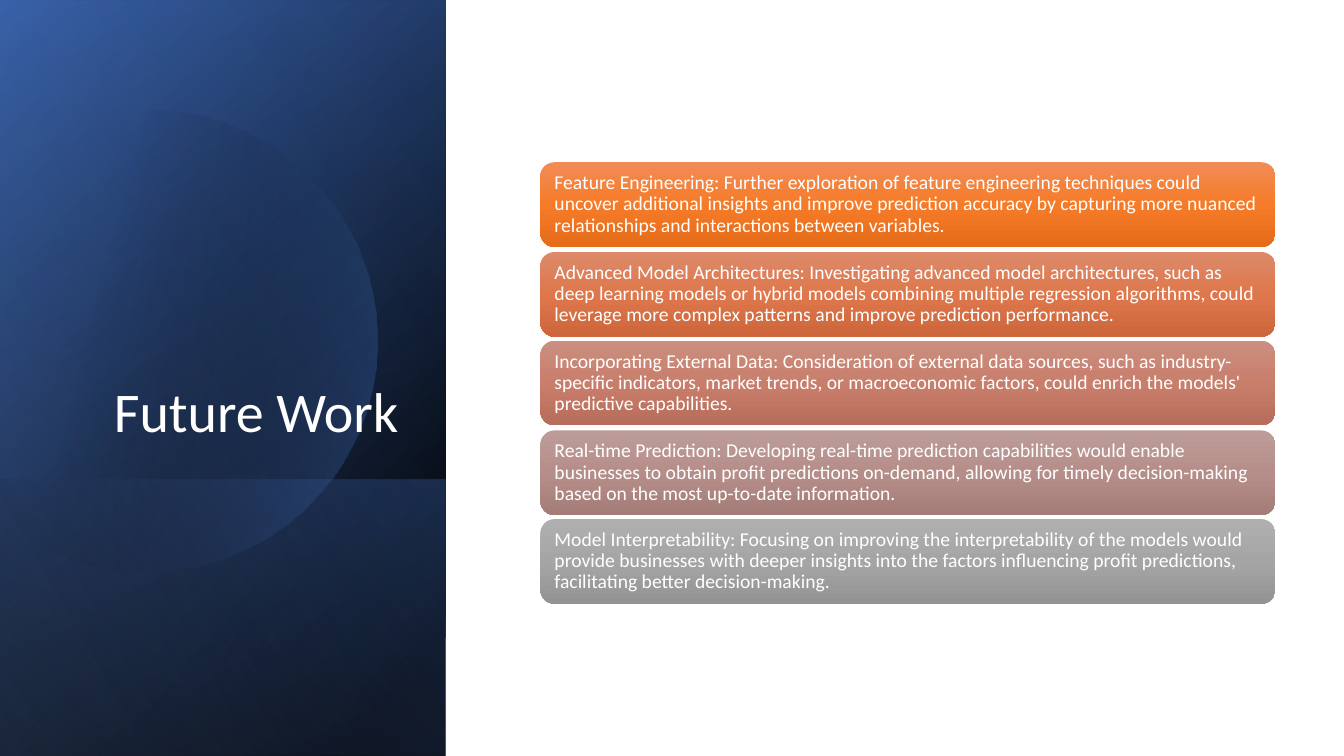
from dataclasses import dataclass
from math import acos, cos, sin

from lxml.etree import SubElement
from pptx import Presentation
from pptx.dml.color import RGBColor
from pptx.enum.shapes import MSO_SHAPE
from pptx.enum.text import MSO_ANCHOR, MSO_AUTO_SIZE, PP_ALIGN
from pptx.oxml.ns import qn
from pptx.util import Emu, Pt

EMU_PER_PX = 9144


@dataclass(frozen=True)
class Theme:
    """Colours, font and type sizes of the deck."""
    font: str = "Calibri"
    text: str = "FFFFFF"
    dark: str = "000000"
    blue: str = "4472C4"
    deep_blue: str = "2F5597"
    pale_blue: str = "8FAADC"
    title_size: int = 40
    card_size: int = 14
    cards: tuple = (
        ("F18C57", "F67B28", "E56C19"),
        ("DD8A6A", "DE774B", "CD673B"),
        ("CB8F81", "C97E6B", "B76D5B"),
        ("BC9C99", "B68E89", "A47C78"),
        ("AFAFAF", "A5A5A5", "939393"),
    )


THEME = Theme()

PANELS = (
    ((-154, 154, 750, 442), 50, ((8, THEME.dark, 100), (100, THEME.deep_blue, 100))),
    ((-154, 155, 750, 442), 30, ((0, THEME.dark, 0), (99, THEME.blue, 46))),
    ((84, 392, 274, 442), 130, ((2, THEME.blue, 29), (100, THEME.dark, 30))),
)
GLOW = ((-154, 154, 750, 442), 120, ((0, THEME.dark, 0), (99, THEME.pale_blue, 11)))

IDEAS = (
    "Feature Engineering: Further exploration of feature engineering techniques could "
    "uncover additional insights and improve prediction accuracy by capturing more "
    "nuanced relationships and interactions between variables.",
    "Advanced Model Architectures: Investigating advanced model architectures, such as "
    "deep learning models or hybrid models combining multiple regression algorithms, "
    "could leverage more complex patterns and improve prediction performance.",
    "Incorporating External Data: Consideration of external data sources, such as "
    "industry-specific indicators, market trends, or macroeconomic factors, could "
    "enrich the models' predictive capabilities.",
    "Real-time Prediction: Developing real-time prediction capabilities would enable "
    "businesses to obtain profit predictions on-demand, allowing for timely "
    "decision-making based on the most up-to-date information.",
    "Model Interpretability: Focusing on improving the interpretability of the models "
    "would provide businesses with deeper insights into the factors influencing profit "
    "predictions, facilitating better decision-making.",
)


def px(length):
    """Turn pixels into EMU."""
    return Emu(length * EMU_PER_PX)


def paint_gradient(shape, angle, stops):
    """Fill a shape with (position, colour, opacity) stops, without line or shadow."""
    shape.shadow.inherit = False
    shape.line.fill.background()
    shape.fill.background()
    properties = shape.element.spPr
    blank = properties.find(qn("a:noFill"))
    gradient = SubElement(properties, qn("a:gradFill"), rotWithShape="1")
    properties.replace(blank, gradient)
    stop_list = SubElement(gradient, qn("a:gsLst"))
    for position, colour, opacity in stops:
        stop = SubElement(stop_list, qn("a:gs"), pos=str(position * 1000))
        shade = SubElement(stop, qn("a:srgbClr"), val=colour)
        if opacity < 100:
            SubElement(shade, qn("a:alpha"), val=str(opacity * 1000))
    SubElement(gradient, qn("a:lin"), ang=str(angle * 60000), scaled="0")


def write_text(shape, text, size, align, anchor):
    """Put one formatted paragraph into a shape."""
    frame = shape.text_frame
    frame.text = text
    frame.word_wrap = True
    frame.auto_size = MSO_AUTO_SIZE.NONE
    frame.vertical_anchor = anchor
    para = frame.paragraphs[0]
    para.alignment = align
    para.line_spacing = 0.9
    para.font.name = THEME.font
    para.font.size = Pt(size)
    para.font.color.rgb = RGBColor.from_string(THEME.text)


def add_panel(page, frame, angle, stops):
    """Add a mirrored gradient rectangle turned by a quarter."""
    panel = page.shapes.add_shape(MSO_SHAPE.RECTANGLE, *map(px, frame))
    panel.rotation = 90
    panel.element.spPr.xfrm.set("flipH", "1")
    paint_gradient(panel, angle, stops)


def add_disc(page, centre_x, centre_y, radius, steps=120):
    """Add a disc cut off at the left edge of the page."""
    limit = acos(-centre_x / radius)
    angles = [limit * (2 * step / steps - 1) for step in range(steps + 1)]
    points = [(centre_x + radius * cos(a), centre_y + radius * sin(a)) for a in angles]
    builder = page.shapes.build_freeform(*points[0], scale=EMU_PER_PX)
    builder.add_line_segments(points[1:], close=True)
    disc = builder.convert_to_shape()
    paint_gradient(disc, 14, ((29, THEME.dark, 0), (100, THEME.blue, 43)))


def place_title(page, text):
    """Move the title placeholder in front of the panels and fill it."""
    title = page.shapes.title
    page.shapes.element.append(title.element)
    title.left, title.top, title.width, title.height = map(px, (64, 184, 341, 262))
    write_text(title, text, THEME.title_size, PP_ALIGN.RIGHT, MSO_ANCHOR.BOTTOM)


def add_card(page, index, text, colours):
    """Add one rounded card of the stack."""
    top = 161 + (177 * index + 1) // 2
    card = page.shapes.add_shape(
        MSO_SHAPE.ROUNDED_RECTANGLE, px(536), px(top), px(729), px(84))
    paint_gradient(card, 90, [(50 * i, colour, 100) for i, colour in enumerate(colours)])
    frame = card.text_frame
    frame.margin_left = frame.margin_right = px(10)
    frame.margin_top = frame.margin_bottom = px(10)
    write_text(card, text, THEME.card_size, PP_ALIGN.LEFT, MSO_ANCHOR.MIDDLE)


def main():
    """Build the slide and save the deck."""
    deck = Presentation()
    deck.slide_width, deck.slide_height = px(1333), px(750)
    page = deck.slides.add_slide(deck.slide_layouts.get_by_name("Title Only"))
    for panel in PANELS:
        add_panel(page, *panel)
    add_disc(page, 145, 338, 229)
    add_panel(page, *GLOW)
    place_title(page, "Future Work")
    for index, (text, colours) in enumerate(zip(IDEAS, THEME.cards)):
        add_card(page, index, text, colours)
    deck.save("out.pptx")


if __name__ == "__main__":
    main()
